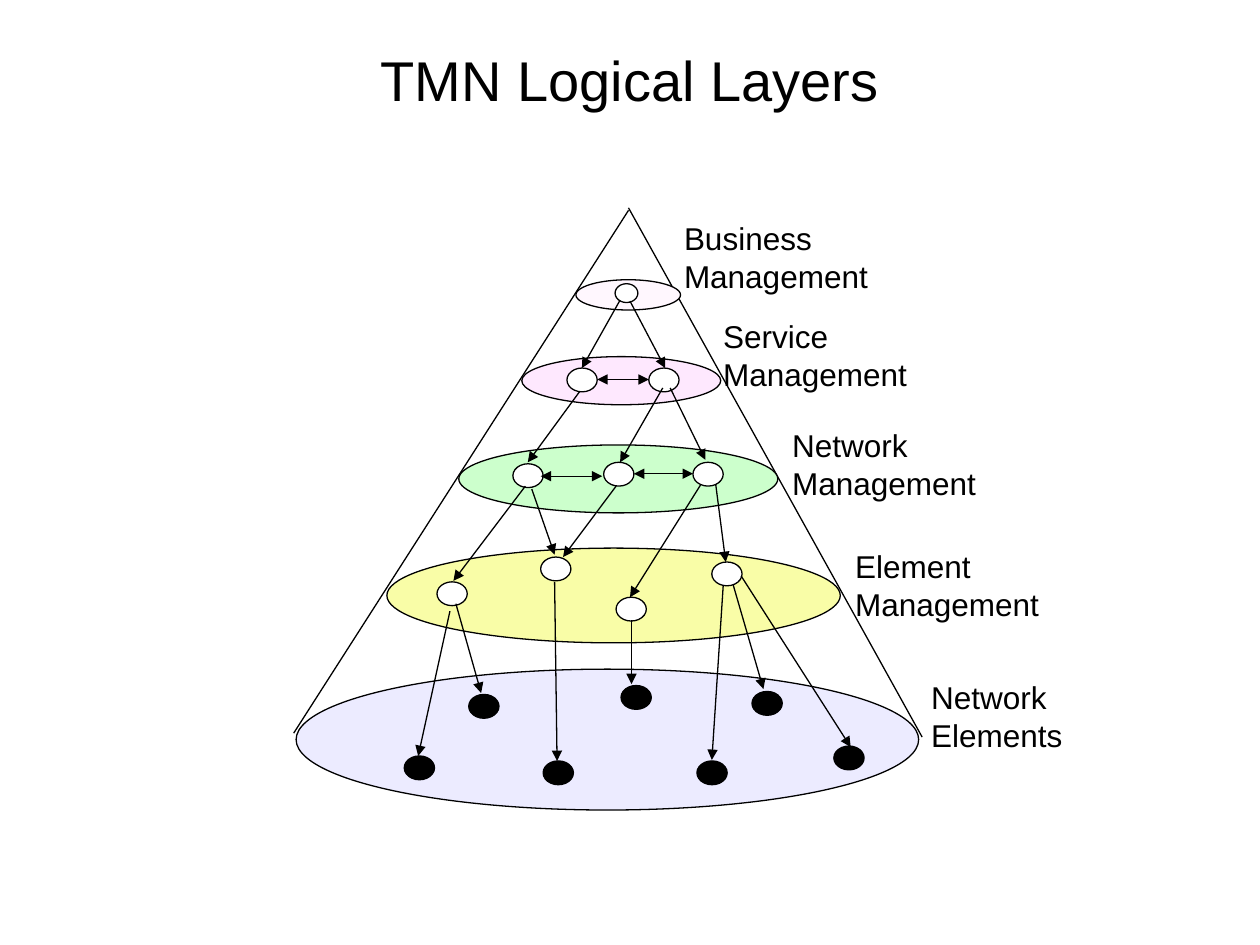
from lxml import etree
from pptx import Presentation
from pptx import util as u
from pptx.dml.color import RGBColor
from pptx.enum import shapes, text
from pptx.oxml.ns import qn

COLORS = {
    "ink": "000000", "node": "FFFFFF", "business": "FFF7FE", "service": "FEE8FE",
    "network": "CCFFCC", "element": "F9FDA7", "devices": "ECEBFF",
}
PYRAMID_SIDES = [(12.67, 4.24, 5.92, 14.78), (12.67, 4.19, 18.59, 14.86)]
LAYERS = [
    ("element", 7.8, 11.05, 9.14, 1.91),
    ("devices", 5.97, 13.49, 12.55, 2.84),
    ("network", 9.25, 8.97, 6.43, 1.37),
    ("service", 10.52, 7.19, 4.01, 0.97),
    ("business", 11.61, 5.64, 2.11, 0.61),
]
NODE_SIZE = (0.61, 0.48)
NODES = {
    "ink": [(8.15, 15.24), (9.45, 14), (10.95, 15.34), (12.52, 13.82),
            (14.05, 15.34), (15.16, 13.94), (16.81, 15.04)],
    "node": [(8.81, 11.73), (10.9, 11.23), (12.42, 12.04), (14.35, 11.33),
             (10.34, 9.35), (12.17, 9.32), (13.97, 9.32),
             (11.43, 7.42), (13.08, 7.42)],
}
DOWN_ARROWS = [
    (9.07, 12.32, 8.43, 15.24), (11.18, 11.73, 11.23, 15.34),
    (9.19, 12.17, 9.7, 13.97), (12.73, 12.5, 12.73, 13.79),
    (14.58, 11.79, 14.35, 15.32), (14.78, 11.79, 15.39, 13.89),
    (14.94, 11.61, 17.15, 15.06), (10.59, 9.8, 9.14, 11.71),
    (10.72, 9.86, 11.18, 11.18), (12.42, 9.8, 11.35, 11.23),
    (14.12, 9.78, 12.7, 12.04), (14.43, 9.78, 14.63, 11.33),
    (13.36, 7.82, 12.5, 9.32), (13.51, 7.82, 14.22, 9.27),
    (11.68, 7.9, 10.64, 9.32), (12.5, 6.05, 11.73, 7.42),
    (12.7, 6.07, 13.41, 7.42),
]
PEER_ARROWS = [(10.9, 9.6, 12.14, 9.6), (12.78, 9.55, 13.97, 9.55),
               (12.04, 7.65, 13.08, 7.65)]
LABELS = [
    ("Network\nElements", 18.52, 13.54),
    ("Element Management", 16.99, 10.9),
    ("Network Management", 15.72, 8.46),
    ("Service Management", 14.33, 6.27),
    ("Business Management", 13.54, 4.29),
]


class SlideBuilder:
    """Draws styled elements on the current slide, with lengths in centimetres."""

    font = {"name": "Arial", "bold": False}
    line_width = u.Pt(0.75)
    label_size = (5.79, 1.78)

    def __init__(self, slide):
        self.slide = slide

    def apply(self, target, values):
        for name, value in values.items():
            setattr(target, name, value)

    def color(self, name):
        return RGBColor.from_string(COLORS[name])

    def outline(self, shape):
        shape.line.color.rgb = self.color("ink")
        shape.line.width = self.line_width

    def format_text(self, frame, size, alignment):
        for paragraph in frame.paragraphs:
            paragraph.alignment = alignment
            for run in paragraph.runs:
                self.apply(run.font, {**self.font, "size": u.Pt(size)})
                run.font.color.rgb = self.color("ink")

    def title(self, words, left, top, width, height):
        shape = self.slide.shapes.title
        self.apply(shape, {"left": u.Cm(left), "top": u.Cm(top),
                           "width": u.Cm(width), "height": u.Cm(height)})
        frame = shape.text_frame
        frame.text = words
        frame.vertical_anchor = text.MSO_ANCHOR.MIDDLE
        self.format_text(frame, 32, text.PP_ALIGN.CENTER)

    def label(self, words, left, top):
        box = (u.Cm(value) for value in (left, top, *self.label_size))
        frame = self.slide.shapes.add_textbox(*box).text_frame
        frame.text = words
        self.apply(frame, {"word_wrap": True,
                           "auto_size": text.MSO_AUTO_SIZE.SHAPE_TO_FIT_TEXT})
        self.format_text(frame, 18, text.PP_ALIGN.LEFT)

    def ellipse(self, fill, *box):
        shape = self.slide.shapes.add_shape(
            shapes.MSO_SHAPE.OVAL, *(u.Cm(value) for value in box))
        shape.shadow.inherit = False
        shape.fill.solid()
        shape.fill.fore_color.rgb = self.color(fill)
        self.outline(shape)

    def line(self, ends, arrowheads=()):
        connector = self.slide.shapes.add_connector(
            shapes.MSO_CONNECTOR.STRAIGHT, *(u.Cm(value) for value in ends))
        self.outline(connector)
        properties = connector._element.spPr
        for end in arrowheads:
            etree.SubElement(properties.find(qn("a:ln")), qn(f"a:{end}"), type="triangle")
        etree.SubElement(properties, qn("a:effectLst"))


def main():
    presentation = Presentation()
    presentation.slide_width = u.Cm(25.4)
    presentation.slide_height = u.Cm(19.05)
    builder = SlideBuilder(presentation.slides.add_slide(presentation.slide_layouts[5]))

    builder.title("TMN Logical Layers", 1.27, 0, 22.86, 3.18)
    for side in PYRAMID_SIDES:
        builder.line(side)
    for layer in LAYERS:
        builder.ellipse(*layer)
    for fill, positions in NODES.items():
        for position in positions:
            builder.ellipse(fill, *position, *NODE_SIZE)
    builder.ellipse("node", 12.4, 5.72, 0.46, 0.38)
    for arrow in DOWN_ARROWS:
        builder.line(arrow, ["tailEnd"])
    for arrow in PEER_ARROWS:
        builder.line(arrow, ["headEnd", "tailEnd"])
    for label in LABELS:
        builder.label(*label)

    presentation.save("out.pptx")


if __name__ == "__main__":
    main()
